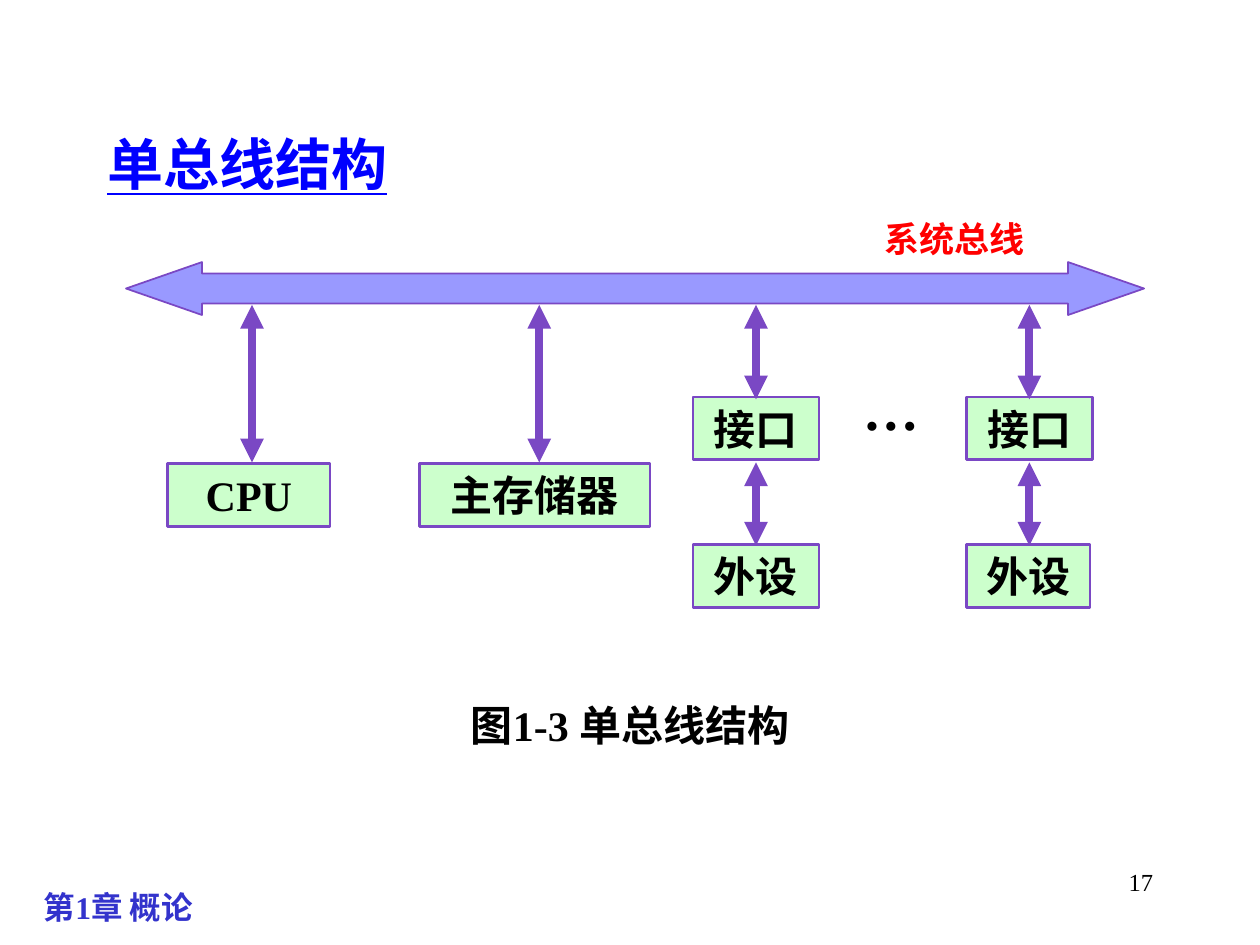
from lxml import etree
from pptx import Presentation
from pptx.dml.color import RGBColor
from pptx.enum.shapes import MSO_CONNECTOR, MSO_SHAPE
from pptx.enum.text import MSO_ANCHOR, MSO_AUTO_SIZE, PP_ALIGN
from pptx.oxml.ns import qn
from pptx.util import Inches, Pt

LEFT, CENTER, RIGHT = PP_ALIGN.LEFT, PP_ALIGN.CENTER, PP_ALIGN.RIGHT
TOP, MIDDLE = MSO_ANCHOR.TOP, MSO_ANCHOR.MIDDLE
SERIF, SANS = "Times New Roman", "Noto Sans CJK SC"
PURPLE, GREEN, LILAC = "7A48C4", "CCFFCC", "9999FF"
BLACK, RED, BLUE, NAVY = "000000", "FF0000", "0000FF", "3333CC"

BOX_HEIGHT = 0.5
BUS_EDGE = 2.42
UNIT_TOP, PORT_TOP, DEVICE_TOP = 3.68, 3.15, 4.32


def color(hex_string):
    return RGBColor.from_string(hex_string)


def write(shape, text, size, ink=BLACK, align=CENTER, anchor=MIDDLE,
          bold=True, font=SERIF, wrap=True):
    frame = shape.text_frame
    frame.text = text
    frame.auto_size = MSO_AUTO_SIZE.NONE
    frame.word_wrap = wrap
    frame.vertical_anchor = anchor
    para = frame.paragraphs[0]
    para.alignment = align
    para.font.name = font
    para.font.size = Pt(size)
    para.font.bold = bold
    para.font.color.rgb = color(ink)
    return para


def place(shape, left, top, width, height):
    shape.left, shape.top = Inches(left), Inches(top)
    shape.width, shape.height = Inches(width), Inches(height)


def add_label(page, text, left, top, width, height, size, **style):
    label = page.shapes.add_textbox(
        Inches(left), Inches(top), Inches(width), Inches(height))
    write(label, text, size, **style)


def add_outlined(page, kind, left, top, width, height, fill, weight):
    shape = page.shapes.add_shape(
        kind, Inches(left), Inches(top), Inches(width), Inches(height))
    shape.shadow.inherit = False
    shape.fill.solid()
    shape.fill.fore_color.rgb = color(fill)
    shape.line.color.rgb = color(PURPLE)
    shape.line.width = Pt(weight)
    return shape


def add_box(page, text, left, top, width):
    box = add_outlined(page, MSO_SHAPE.RECTANGLE, left, top, width,
                       BOX_HEIGHT, GREEN, 1.5)
    write(box, text, 24)


def add_bus(page):
    bus = add_outlined(page, MSO_SHAPE.LEFT_RIGHT_ARROW,
                       1, 2.08, 8.08, 0.42, LILAC, 1)
    bus.adjustments[0] = 0.567
    bus.adjustments[1] = 1.436


def add_link(page, x, top, bottom):
    """Draw a vertical line with an arrowhead at both ends."""
    link = page.shapes.add_connector(
        MSO_CONNECTOR.STRAIGHT, Inches(x), Inches(top), Inches(x), Inches(bottom))
    link.line.color.rgb = color(PURPLE)
    link.line.width = Pt(4.5)
    outline = link.line._get_or_add_ln()
    for end in ("a:headEnd", "a:tailEnd"):
        etree.SubElement(outline, qn(end), type="triangle")
    etree.SubElement(link._element.spPr, qn("a:effectLst"))


def fill_placeholders(page):
    title = page.shapes.title
    place(title, 0.75, 0.67, 8.5, 1.25)
    heading = write(title, "单总线结构", 32, BLUE, LEFT, font=SANS)
    heading.font.underline = True

    caption = page.placeholders[1]
    place(caption, 0.75, 5.5, 8.5, 1.17)
    para = write(caption, "图1-3 单总线结构", 24, anchor=TOP)
    para.space_before = Pt(6)
    settings = para._p.get_or_add_pPr()
    settings.set("marL", str(Inches(0.38)))
    settings.set("indent", str(Inches(-0.38)))
    settings.insert_element_before(
        etree.Element(qn("a:buNone")), "a:tabLst", "a:defRPr", "a:extLst")


def main():
    deck = Presentation()
    deck.slide_width, deck.slide_height = Inches(10), Inches(7.5)
    page = deck.slides.add_slide(deck.slide_layouts[1])
    fill_placeholders(page)

    add_bus(page)
    add_label(page, "系统总线", 6.92, 1.67, 1.31, 0.44, 20, ink=RED, wrap=False)

    for text, left, width, link_x in (("CPU", 1.33, 1.29, 2),
                                      ("主存储器", 3.33, 1.83, 4.28)):
        add_box(page, text, left, UNIT_TOP, width)
        add_link(page, link_x, BUS_EDGE, 3.67)

    for left, device_width in ((5.5, 1), (7.67, 0.98)):
        add_box(page, "接口", left, PORT_TOP, 1)
        add_box(page, "外设", left, DEVICE_TOP, device_width)
        add_link(page, left + 0.5, BUS_EDGE, 3.17)
        add_link(page, left + 0.5, 3.67, 4.33)
    add_label(page, "…", 6.75, 2.92, 0.64, 0.64, 32, wrap=False)

    add_label(page, "第1章 概论", 0.25, 7, 5.83, 0.25, 18,
              ink=NAVY, align=LEFT, anchor=TOP)
    add_label(page, "17", 7.17, 6.83, 2.08, 0.5, 14,
              align=RIGHT, anchor=TOP, bold=False)
    deck.save("out.pptx")


if __name__ == "__main__":
    main()
